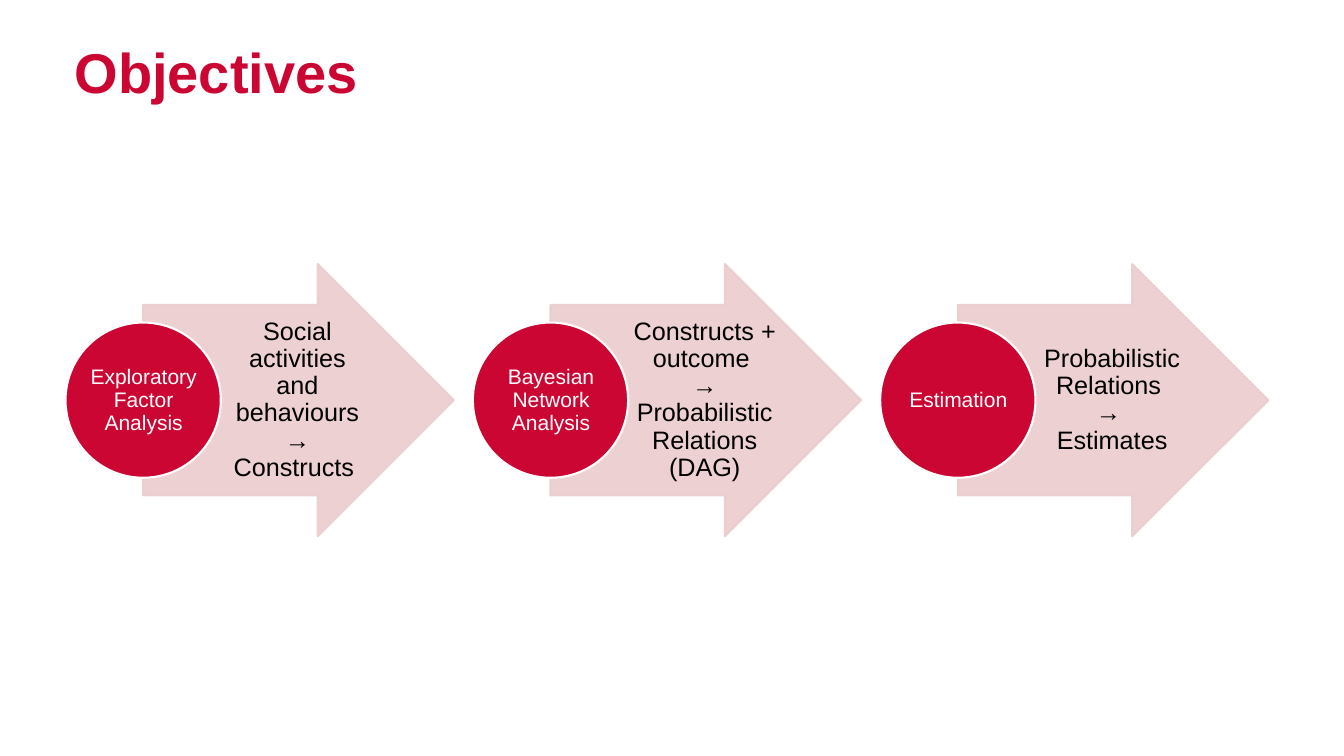
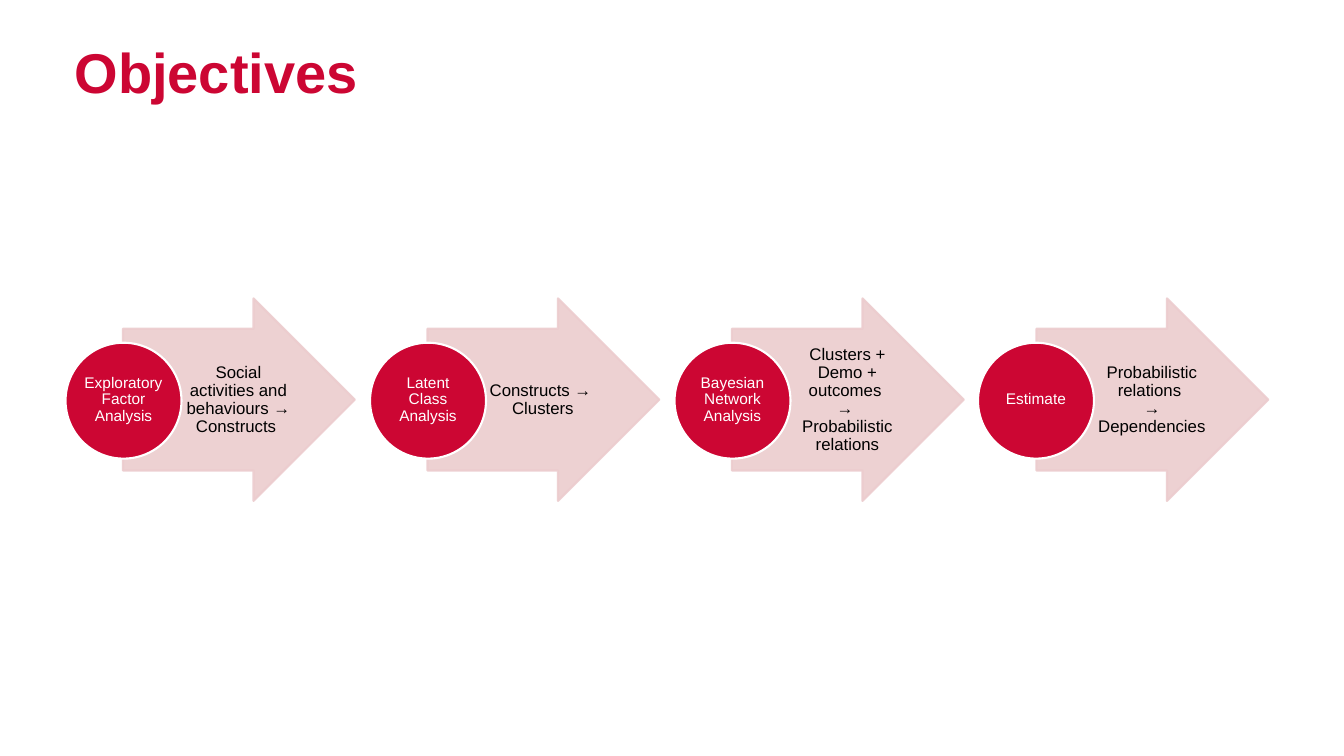
from dataclasses import dataclass

from lxml import etree
from pptx import Presentation
from pptx.dml.color import RGBColor
from pptx.enum.shapes import MSO_SHAPE as Shape
from pptx.enum.text import MSO_ANCHOR as Anchor, MSO_AUTO_SIZE as AutoSize, PP_ALIGN as Align
from pptx.oxml.ns import qn
from pptx.util import Pt

PX = 9144
FONT = "Arial"
COLORS = {"red": "CC0633", "pink": "ECCCCE", "white": "FFFFFF", "black": "000000"}
LEFT, WIDTH, MIDDLE = 65, 1193, 397


@dataclass(frozen=True)
class Step:
    """One stage: the name in its circle and the text in its arrow."""
    name: str
    detail: str


@dataclass(frozen=True)
class Flow:
    """A row of steps with the sizes that fit it."""
    title: str
    circle: int
    name_size: int
    detail_size: int
    insets: tuple[int, int, int, int]
    steps: tuple[Step, ...]


FLOWS = (
    Flow("Objectives", 154, 15, 18, (5, 1, 3, 1), (
        Step("Exploratory Factor Analysis", "Social activities and behaviours → Constructs "),
        Step("Bayesian Network Analysis", "Constructs + outcome \n→ Probabilistic Relations (DAG)"),
        Step("Estimation", "Probabilistic Relations \n→ \nEstimates"),
    )),
    Flow("Objectives", 115, 11, 12, (3, 1, 2, 1), (
        Step("Exploratory Factor Analysis", "Social activities and behaviours → Constructs "),
        Step("Latent Class Analysis", "Constructs → \nClusters"),
        Step("Bayesian Network Analysis", "Clusters + Demo + outcomes \n→ \nProbabilistic relations"),
        Step("Estimate", "Probabilistic relations \n→\nDependencies "),
    )),
)


def px(value: float) -> int:
    """Turn px into EMU."""
    return round(value) * PX


def rgb(name: str) -> RGBColor:
    """Look up a named colour."""
    return RGBColor.from_string(COLORS[name])


def centred_box(left: float, width: float, height: float) -> tuple[int, int, int, int]:
    """Give a box whose middle lies on the row's axis."""
    return px(left), px(MIDDLE - height / 2), px(width), px(height)


def style_text(tf, text: str, size: int, color: str, align: Align, bold: bool = False) -> None:
    """Fill a text frame with one formatted paragraph."""
    tf.word_wrap = True
    tf.auto_size = AutoSize.NONE
    p = tf.paragraphs[0]
    p.text = text
    p.alignment = align
    p.line_spacing = 0.9
    p.font.name = FONT
    p.font.size = Pt(size)
    p.font.bold = bold
    p.font.color.rgb = rgb(color)


def add_title(s, text: str) -> None:
    """Place and format the title placeholder."""
    title = s.shapes.title
    title.left, title.top, title.width, title.height = px(64), px(40), px(1194), px(83)
    style_text(title.text_frame, text, 40, "red", Align.LEFT, bold=True)
    title.text_frame.vertical_anchor = Anchor.TOP


def add_solid(s, kind: Shape, box: tuple[int, int, int, int], fill: str, line: str):
    """Add a filled and outlined shape without a shadow."""
    sp = s.shapes.add_shape(kind, *box)
    sp.shadow.inherit = False
    sp.fill.solid()
    sp.fill.fore_color.rgb = rgb(fill)
    sp.line.color.rgb = rgb(line)
    sp.line.width = Pt(1.5)
    return sp


def add_label(s, box: tuple[int, int, int, int], insets: tuple[int, int, int, int],
              text: str, size: int, color: str) -> None:
    """Add a centred text box."""
    tf = s.shapes.add_textbox(*box).text_frame
    style_text(tf, text, size, color, Align.CENTER)
    tf.vertical_anchor = Anchor.MIDDLE
    tf.margin_left, tf.margin_top, tf.margin_right, tf.margin_bottom = map(px, insets)


def add_arrow(s, left: float, width: float, height: float) -> None:
    """Add a slightly transparent block arrow."""
    arrow = add_solid(s, Shape.RIGHT_ARROW, centred_box(left, width, height), "pink", "pink")
    arrow.adjustments[0], arrow.adjustments[1] = 0.7, 0.5
    for color in arrow.element.spPr.iter(qn("a:srgbClr")):
        etree.SubElement(color, qn("a:alpha")).set("val", "90000")


def add_step(s, flow: Flow, step: Step, left: float) -> None:
    """Draw an arrow with its text and the circle on its tail."""
    d = flow.circle
    core = d / 2 ** 0.5
    add_arrow(s, left + d / 2, 2 * d, 1.75 * d)
    add_label(s, centred_box(left + d, 0.975 * d, 1.22 * d), flow.insets,
              step.detail, flow.detail_size, "black")
    add_solid(s, Shape.OVAL, centred_box(left, d, d), "red", "white")
    add_label(s, centred_box(left + (d - core) / 2, core, core), (1, 1, 1, 1),
              step.name, flow.name_size, "white")


def add_flow(prs, flow: Flow) -> None:
    """Add a slide with its steps spread evenly over the width."""
    s = prs.slides.add_slide(prs.slide_layouts[5])
    add_title(s, flow.title)
    pitch = (WIDTH - 2.5 * flow.circle) / (len(flow.steps) - 1)
    for i, step in enumerate(flow.steps):
        add_step(s, flow, step, LEFT + i * pitch)


def main() -> None:
    """Build and save the presentation."""
    prs = Presentation()
    prs.slide_width, prs.slide_height = px(1333), px(750)
    for flow in FLOWS:
        add_flow(prs, flow)
    prs.save("out.pptx")


if __name__ == "__main__":
    main()
